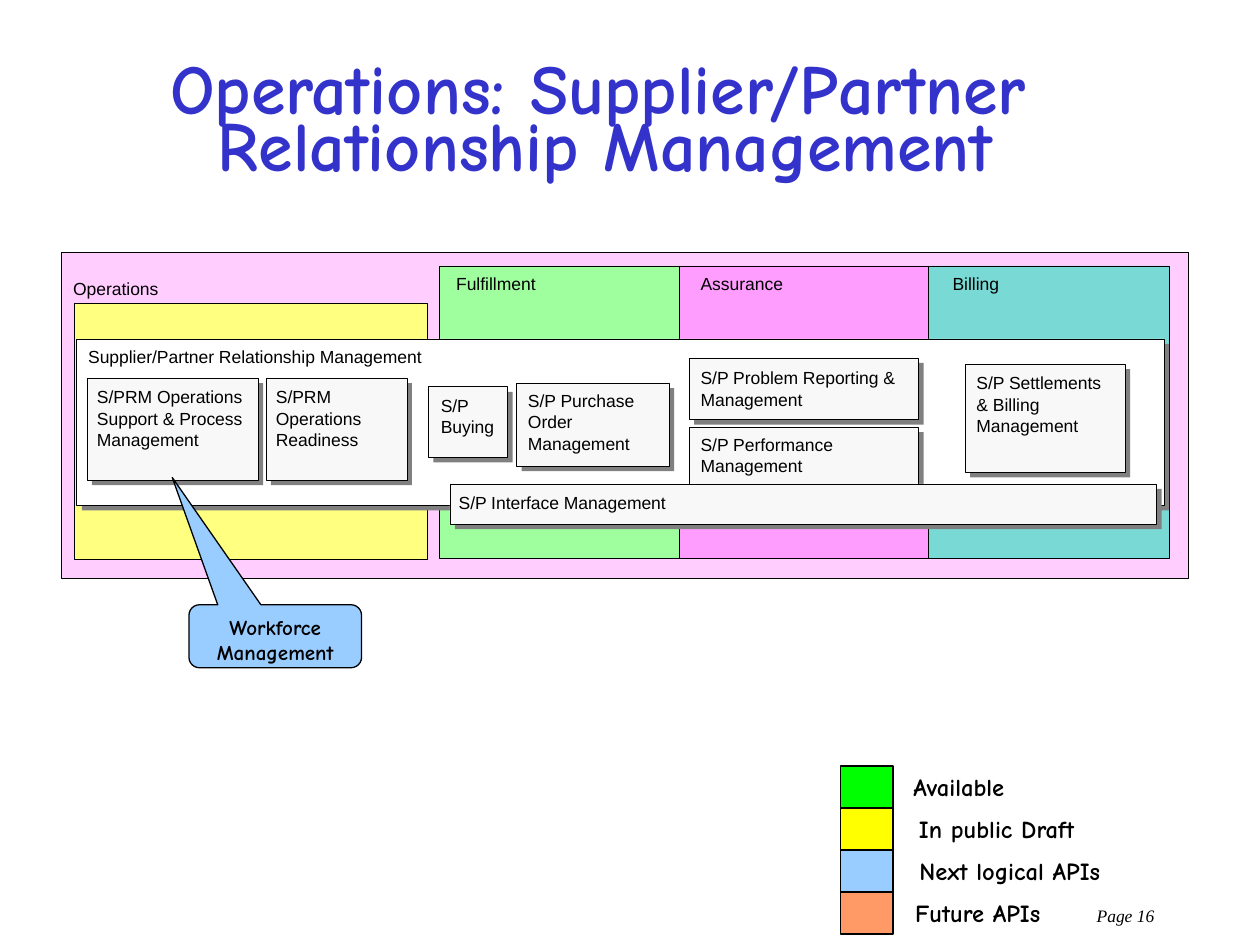
from pptx import Presentation
from pptx.dml.color import RGBColor
from pptx.enum import shapes, text
from pptx.util import Inches, Pt

BLACK = RGBColor(0x00, 0x00, 0x00)
WHITE = RGBColor(0xFF, 0xFF, 0xFF)
TITLE_BLUE = RGBColor(0x33, 0x33, 0xCC)
PINK = RGBColor(0xFF, 0xCE, 0xFF)
PALE_GREEN = RGBColor(0x9F, 0xFF, 0x9F)
MAGENTA = RGBColor(0xFF, 0x9D, 0xFF)
TEAL = RGBColor(0x79, 0xD9, 0xD5)
PALE_YELLOW = RGBColor(0xFF, 0xFF, 0x80)
CARD = RGBColor(0xF8, 0xF8, 0xF8)
SHADE = RGBColor(0x80, 0x80, 0x80)
GREEN = RGBColor(0x00, 0xFF, 0x00)
YELLOW = RGBColor(0xFF, 0xFF, 0x00)
SKY = RGBColor(0x99, 0xCC, 0xFF)
ORANGE = RGBColor(0xFF, 0x99, 0x66)

RECT = shapes.MSO_SHAPE.RECTANGLE
HEADING_FONT = "Comic Neue"

STAGES = [
    ("Fulfillment", 3.0, 1.92, PALE_GREEN, 0.13),
    ("Assurance", 4.9, 1.98, MAGENTA, 0.17),
    ("Billing", 6.88, 1.91, TEAL, 0.19),
]
PROCESSES = [
    ("S/P Purchase Order Management", (3.49, 0.35, 1.21, 0.66), (0.09, 0.05)),
    ("S/P Problem Reporting & Management", (4.86, 0.15, 1.82, 0.49), (0.09, 0.07)),
    ("S/P Settlements & Billing Management", (7.05, 0.2, 1.27, 0.86), (0.09, 0.06)),
    ("S/P Performance Management", (4.86, 0.7, 1.82, 0.47), (0.09, 0.05)),
    ("S/P Interface Management", (2.96, 1.15, 5.61, 0.32), (0.07, 0.06)),
    ("S/PRM Operations Support & Process Management",
     (0.08, 0.31, 1.36, 0.81), (0.08, 0.06)),
    ("S/P Buying", (2.79, 0.38, 0.63, 0.56), (0.1, 0.06)),
    ("S/PRM Operations Readiness", (1.5, 0.31, 1.12, 0.81), (0.08, 0.06)),
]
STATUSES = [
    ("Available", GREEN, 0.47, 0.94),
    ("In public Draft", YELLOW, 0.51, 1.46),
    ("Next logical APIs", SKY, 0.5, 1.69),
    ("Future APIs", ORANGE, 0.48, 1.22),
]


def add_run(paragraph, words, font, size, color=BLACK, bold=False, italic=False):
    """Append one formatted run."""
    run = paragraph.add_run()
    run.text = words
    run.font.name = font
    run.font.size = Pt(size)
    run.font.color.rgb = color
    run.font.bold = bold
    run.font.italic = italic


def add_panel(slide, box, fill, line_width=0.37, kind=RECT):
    """Draw a filled shape, outlined in black unless the width is zero."""
    panel = slide.shapes.add_shape(kind, *map(Inches, box))
    panel.shadow.inherit = False
    panel.fill.solid()
    panel.fill.fore_color.rgb = fill
    if line_width:
        panel.line.color.rgb = BLACK
        panel.line.width = Pt(line_width)
    else:
        panel.line.fill.background()
    return panel


def add_caption(panel, words, inset):
    """Write a caption from the top left of a panel."""
    frame = panel.text_frame
    frame.word_wrap = True
    frame.vertical_anchor = text.MSO_ANCHOR.TOP
    frame.margin_left, frame.margin_top = map(Inches, inset)
    frame.margin_right = Inches(0.08)
    frame.margin_bottom = 0
    caption = frame.paragraphs[0]
    caption.alignment = text.PP_ALIGN.LEFT
    caption.line_spacing = Pt(12.3)
    add_run(caption, words, "Arial", 10)


def add_raised_panel(slide, box, fill, words, inset):
    """Draw a captioned panel above its grey drop shade."""
    left, top, width, height = box
    add_panel(slide, (left + 0.04, top + 0.04, width, height), SHADE, 0)
    add_caption(add_panel(slide, box, fill), words, inset)


def add_title(slide, box):
    """Place and format the slide title."""
    title = slide.shapes.title
    title.left, title.top, title.width, title.height = map(Inches, box)
    frame = title.text_frame
    frame.word_wrap = True
    frame.auto_size = text.MSO_AUTO_SIZE.NONE
    frame.vertical_anchor = text.MSO_ANCHOR.MIDDLE
    heading = frame.paragraphs[0]
    heading.alignment = text.PP_ALIGN.LEFT
    heading.line_spacing = 0.68
    heading.space_before = Pt(10)
    indents = heading._p.get_or_add_pPr()
    indents.set("marL", str(Inches(0.38)))
    indents.set("indent", str(Inches(-0.38)))
    add_run(heading, "Operations: Supplier/Partner Relationship Management",
            HEADING_FONT, 40, TITLE_BLUE, bold=True)


def add_operations(slide, box):
    """Draw the operations area with its vertical stages."""
    left, top, _, _ = box
    add_caption(add_panel(slide, box, PINK), "Operations", (0.09, 0.2))
    for name, offset, width, fill, indent in STAGES:
        stage = add_panel(slide, (left + offset, top + 0.11, width, 2.32), fill)
        add_caption(stage, name, (indent, 0.05))
    add_panel(slide, (left + 0.1, top + 0.41, 2.8, 2.03), PALE_YELLOW)


def add_relationship_band(slide, box):
    """Draw the supplier/partner band and its process cards."""
    left, top, _, _ = box
    add_raised_panel(slide, box, WHITE,
                     "Supplier/Partner Relationship Management", (0.09, 0.05))
    for name, (dx, dy, width, height), inset in PROCESSES:
        add_raised_panel(slide, (left + dx, top + dy, width, height),
                         CARD, name, inset)


def add_workforce_callout(slide, box):
    """Draw the callout that points at operations support."""
    callout = add_panel(slide, box, SKY, 0.75,
                        shapes.MSO_SHAPE.ROUNDED_RECTANGULAR_CALLOUT)
    for index, value in enumerate((-0.597, -2.521, 0.167)):
        callout.adjustments[index] = value
    frame = callout.text_frame
    frame.word_wrap = True
    frame.vertical_anchor = text.MSO_ANCHOR.TOP
    frame.paragraphs[0].alignment = text.PP_ALIGN.CENTER
    add_run(frame.paragraphs[0], "Workforce Management", HEADING_FONT, 12, bold=True)


def add_legend(slide, box):
    """Stack the status swatches and their labels."""
    left, top, swatch_width, height = box
    row_height = height / len(STATUSES)
    for row, (name, fill, offset, width) in enumerate(STATUSES):
        row_top = top + row * row_height
        add_panel(slide, (left, row_top, swatch_width, row_height), fill, 1)
        label = slide.shapes.add_textbox(
            *map(Inches, (left + offset, row_top, width, 0.34))).text_frame
        label.word_wrap = False
        label.auto_size = text.MSO_AUTO_SIZE.SHAPE_TO_FIT_TEXT
        label.paragraphs[0].alignment = text.PP_ALIGN.CENTER
        add_run(label.paragraphs[0], name, HEADING_FONT, 14, bold=True)


def add_page_number(slide, box):
    """Write the page number at the right of the footer."""
    footer = slide.shapes.add_textbox(*map(Inches, box)).text_frame
    footer.word_wrap = True
    footer.margin_right = Inches(0.2)
    footer.paragraphs[0].alignment = text.PP_ALIGN.RIGHT
    add_run(footer.paragraphs[0], "Page 16", "Times New Roman", 10, italic=True)


def main():
    """Build and save the slide."""
    deck = Presentation()
    deck.slide_width, deck.slide_height = Inches(10), Inches(7.5)
    slide = deck.slides.add_slide(deck.slide_layouts[5])
    add_page_number(slide, (1.67, 7.13, 7.69, 0.27))
    add_operations(slide, (0.49, 2, 8.94, 2.59))
    add_relationship_band(slide, (0.61, 2.69, 8.63, 1.32))
    add_workforce_callout(slide, (1.5, 4.8, 1.37, 0.5))
    add_title(slide, (1.25, 0.5, 8.75, 1))
    add_legend(slide, (6.67, 6.08, 0.42, 1.33))
    deck.save("out.pptx")


if __name__ == "__main__":
    main()
